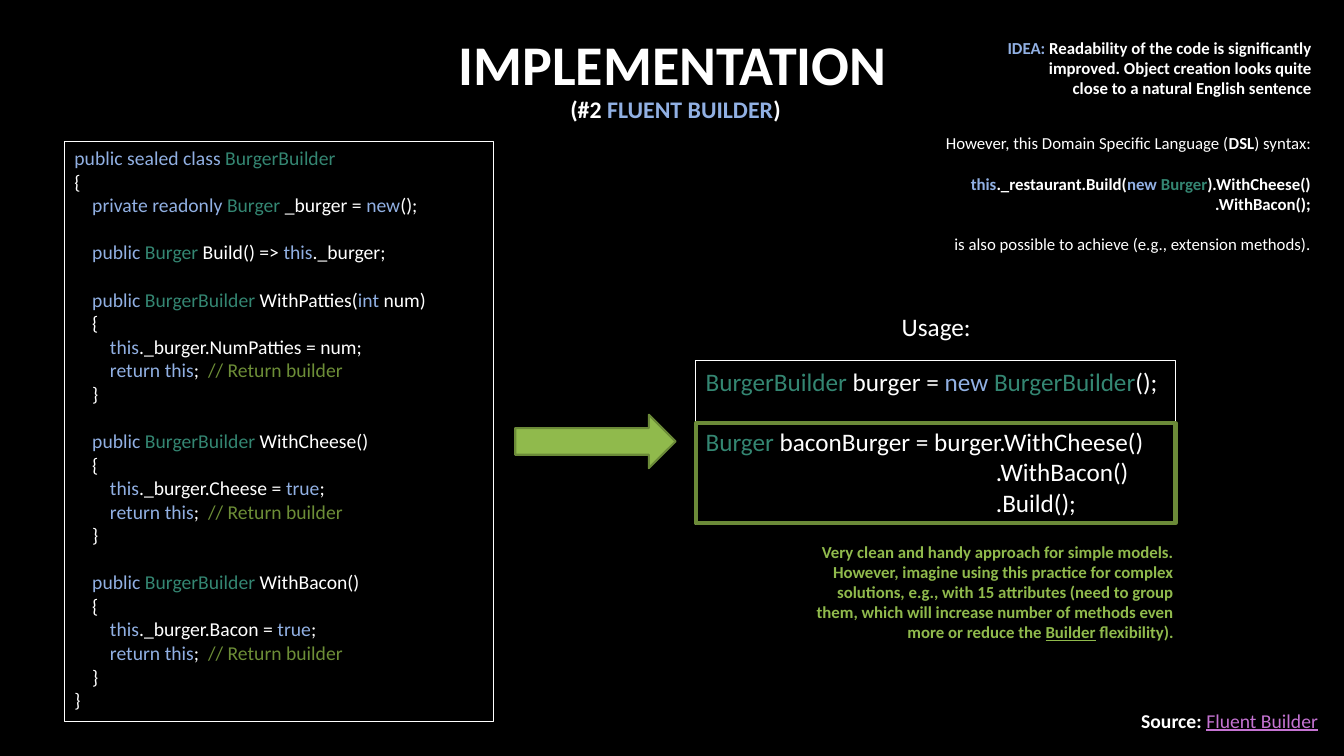
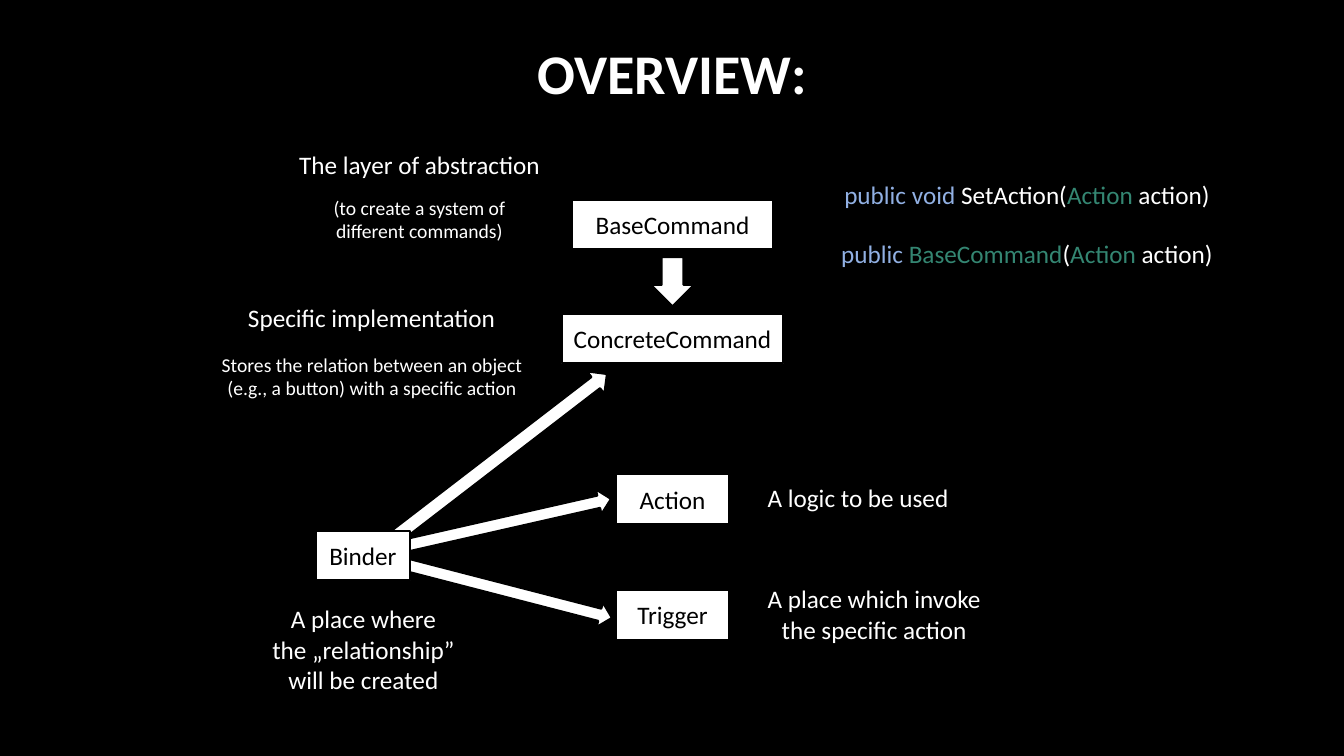
from itertools import groupby
from math import atan2, degrees, hypot

from pptx import Presentation
from pptx import util as u
from pptx.dml.color import RGBColor
from pptx.enum import shapes, text

WIDTH, HEIGHT = 13.33, 7.5
FONT = "Calibri"
WHITE, BLACK = "FFFFFF", "000000"
BLUE, TEAL, PURPLE = "91B0E3", "348672", "C573D2"
GREEN, DARK_GREEN, COMMENT = "90BA4C", "6B8A38", "6D8E37"
LEFT, CENTER, RIGHT = (text.PP_ALIGN.LEFT, text.PP_ALIGN.CENTER,
                       text.PP_ALIGN.RIGHT)
TOP, MIDDLE, BOTTOM = (text.MSO_ANCHOR.TOP, text.MSO_ANCHOR.MIDDLE,
                       text.MSO_ANCHOR.BOTTOM)
LINE_HEIGHT = 1.21  # share of the text size

KEYWORDS = {"public", "private", "sealed", "class", "readonly", "new", "this",
            "int", "return", "true", "void"}
TYPES = {"Burger", "BurgerBuilder", "Action", "BaseCommand"}

# Content: code (a blank line becomes space above the next line)
BUILDER_CODE = """\
public sealed class BurgerBuilder
{
    private readonly Burger _burger = new();

    public Burger Build() => this._burger;

    public BurgerBuilder WithPatties(int num)
    {
        this._burger.NumPatties = num;
        return this;  // Return builder
    }

    public BurgerBuilder WithCheese()
    {
        this._burger.Cheese = true;
        return this;  // Return builder
    }

    public BurgerBuilder WithBacon()
    {
        this._burger.Bacon = true;
        return this;  // Return builder
    }
}"""
USAGE_CODE = """\
BurgerBuilder burger = new BurgerBuilder();

Burger baconBurger = burger.WithCheese()
.WithBacon()
.Build();"""
DSL_CODE = ["this._restaurant.Build(new Burger).WithCheese()", ".WithBacon();"]
SIGNATURES = ["public void SetAction(Action action)",
              "public BaseCommand(Action action)"]

# Content: rich text as (text, changes to the font) pairs
SUBTITLE = [("(#2 ", {}), ("FLUENT BUILDER", {"color": BLUE}), (")", {})]
SOURCE = [("Source: ", {"bold": True}),
          ("Fluent Builder", {"color": PURPLE, "underline": True})]
IDEA = [("IDEA:", {"color": BLUE}),
        (" Readability of the code is significantly\n"
         "improved. Object creation looks quite\n"
         "close to a natural English sentence", {})]
VERDICT = [("Very clean and handy approach for simple models.\n"
            "However, imagine using this practice for complex\n"
            "solutions, e.g., with 15 attributes (need to group\n"
            "them, which will increase number of methods even\n"
            "more or reduce the ", {}),
           ("Builder", {"underline": True}), (" flexibility).", {})]
DSL_INTRO = [("However, this Domain Specific Language (", {}),
             ("DSL", {"bold": True}), (") syntax:", {})]
DSL_END = "is also possible to achieve (e.g., extension methods)."

# Content: overview diagram; boxes are (label, centre x, centre y, width)
BOX_HEIGHT = 0.49
BOXES = [("BaseCommand", 6.67, 2.23, 2.0), ("ConcreteCommand", 6.67, 3.36, 2.2),
         ("Action", 6.67, 4.95, 1.13), ("Trigger", 6.67, 6.1, 1.13),
         ("Binder", 3.6, 5.51, 0.94)]
# Arrows are (tail, head, thickness)
ARROWS = [((6.67, 2.55), (6.67, 3.04), 0.43), ((3.99, 5.42), (6.06, 4.95), 0.25),
          ((4.02, 5.6), (6.07, 6.13), 0.25), ((3.94, 5.31), (6.02, 3.71), 0.28)]
# Notes are (place, text, size)
NOTES = [((2.34, 2.95, 2.69, 0.4), "Specific implementation", 18),
         ((2.0, 3.45, 3.38, 0.57), "Stores the relation between an object\n"
                                   "(e.g., a button) with a specific action", 14),
         ((7.5, 4.74, 2.02, 0.4), "A logic to be used", 18),
         ((7.5, 5.74, 2.34, 0.71), "A place which invoke\nthe specific action", 18),
         ((2.59, 5.94, 2.03, 1.01),
          "A place where\nthe „relationship”\nwill be created", 18)]


# Text helpers
def rgb(color):
    return RGBColor.from_string(color)


def style(font, size, color=WHITE, bold=False, underline=False):
    font.name, font.size = FONT, u.Pt(size)
    font.bold, font.underline = bold, underline
    font.color.rgb = rgb(color)


def code_runs(line, bold=False):
    """Colour one line of code by keyword, type and comment."""
    code, slashes, comment = line.partition("//")
    runs = []
    for _, letters in groupby(code, lambda c: c.isalnum() or c == "_"):
        word = "".join(letters)
        color = BLUE if word in KEYWORDS else TEAL if word in TYPES else WHITE
        runs.append((word, {"color": color, "bold": bold}))
    if slashes:
        runs.append((slashes + comment, {"color": COMMENT, "bold": bold}))
    return runs


def fill_paragraph(paragraph, content, size, align=LEFT, **base):
    paragraph.alignment = align
    runs = [(content, {})] if isinstance(content, str) else content
    for words, changes in runs:
        for index, line in enumerate(words.split("\n")):
            if index:
                paragraph.add_line_break()
            run = paragraph.add_run()
            run.text = line
            style(run.font, size, **{**base, **changes})


def next_paragraph(frame, first):
    return frame.paragraphs[0] if first else frame.add_paragraph()


def fill_code(frame, code, size):
    frame.word_wrap = True
    gap, first = 0, True
    for line in code.split("\n"):
        if not line:
            gap = size * LINE_HEIGHT
            continue
        paragraph = next_paragraph(frame, first)
        fill_paragraph(paragraph, code_runs(line), size)
        if gap:
            paragraph.space_before = u.Pt(gap)
        gap, first = 0, False


# Shape helpers
def add_text(slide, place, contents, size, align=CENTER, anchor=TOP, gaps=(),
             **base):
    """Add a text box with one paragraph per item; gaps maps index to points."""
    frame = slide.shapes.add_textbox(*map(u.Inches, place)).text_frame
    frame.word_wrap, frame.vertical_anchor = False, anchor
    for index, content in enumerate(contents):
        paragraph = next_paragraph(frame, index == 0)
        fill_paragraph(paragraph, content, size, align, **base)
        if index in gaps:
            paragraph.space_before = u.Pt(gaps[index])


def add_shape(slide, kind, place, fill=None, line=WHITE, weight=0.75):
    shape = slide.shapes.add_shape(kind, *map(u.Inches, place))
    shape.shadow.inherit = False
    if fill:
        shape.fill.solid()
        shape.fill.fore_color.rgb = rgb(fill)
    else:
        shape.fill.background()
    shape.line.color.rgb = rgb(line)
    shape.line.width = u.Pt(weight)
    return shape


def add_frame(slide, place, **look):
    shape = add_shape(slide, shapes.MSO_SHAPE.RECTANGLE, place, **look)
    shape.text_frame.vertical_anchor = TOP
    return shape


def add_arrow(slide, tail, head, thickness, fill=WHITE, line=BLACK):
    dx, dy = head[0] - tail[0], head[1] - tail[1]
    length = hypot(dx, dy)
    place = ((tail[0] + head[0] - length) / 2,
             (tail[1] + head[1] - thickness) / 2, length, thickness)
    arrow = add_shape(slide, shapes.MSO_SHAPE.RIGHT_ARROW, place, fill, line, 1.5)
    arrow.rotation = degrees(atan2(dy, dx)) % 360


def add_slide(presentation, heading, bottom):
    slide = presentation.slides.add_slide(presentation.slide_layouts[5])
    title, height = slide.shapes.title, 0.84
    title.left, title.top, title.width, title.height = map(
        u.Inches, (1.13, bottom - height, 11.08, height))
    frame = title.text_frame
    frame.text = heading
    frame.vertical_anchor, frame.auto_size = BOTTOM, text.MSO_AUTO_SIZE.NONE
    paragraph = frame.paragraphs[0]
    paragraph.alignment, paragraph.line_spacing = CENTER, 0.9
    style(paragraph.runs[0].font, 40, bold=True)
    return slide


# Slides
def build_implementation(presentation):
    slide = add_slide(presentation, "IMPLEMENTATION", 1.02)
    add_text(slide, (5.35, 0.77, 2.7, 0.5), [SUBTITLE], 17, anchor=BOTTOM,
             bold=True)

    # Builder class and its usage
    builder = add_frame(slide, (0.64, 1.4, 4.26, 5.76))
    fill_code(builder.text_frame, BUILDER_CODE, 14)
    add_arrow(slide, (5.11, 4.38), (6.7, 4.38), 0.53, GREEN, DARK_GREEN)
    add_text(slide, (8.84, 3.04, 0.89, 0.4), ["Usage:"], 18)
    usage = add_frame(slide, (6.9, 3.58, 4.76, 1.62))
    fill_code(usage.text_frame, USAGE_CODE, 18)
    for paragraph in usage.text_frame.paragraphs[2:]:
        properties = paragraph._p.get_or_add_pPr()
        properties.set("marL", str(u.Inches(2.88)))
        properties.set("indent", "0")
    add_frame(slide, (6.9, 4.2, 4.76, 0.99), line=DARK_GREEN, weight=3)

    # Remarks
    add_text(slide, (7.95, 5.32, 3.79, 1.11), [VERDICT], 12, RIGHT, color=GREEN,
             bold=True)
    add_text(slide, (9.85, 0.32, 3.26, 0.71), [IDEA], 12, RIGHT, bold=True)
    syntax = [code_runs(line, bold=True) for line in DSL_CODE]
    add_text(slide, (9.25, 1.27, 3.85, 1.31), [DSL_INTRO, *syntax, DSL_END], 12,
             RIGHT, gaps={1: 14.5, 3: 14.5})
    add_text(slide, (11.22, 6.98, 1.97, 0.34), [SOURCE], 14, LEFT)


def build_overview(presentation):
    slide = add_slide(presentation, "OVERVIEW:", 1.11)

    # Diagram: arrows lie behind the boxes
    for tail, head, thickness in ARROWS:
        add_arrow(slide, tail, head, thickness)
    for label, x, y, width in BOXES:
        place = (x - width / 2, y - BOX_HEIGHT / 2, width, BOX_HEIGHT)
        box = add_frame(slide, place, fill=WHITE, line=BLACK, weight=1.5)
        frame = box.text_frame
        frame.vertical_anchor, frame.word_wrap = MIDDLE, False
        fill_paragraph(frame.paragraphs[0], label, 18, CENTER, color=BLACK)

    # Notes and signatures
    abstraction = [[("The layer of abstraction", {"size": 18})],
                   "(to create a system of\ndifferent commands)"]
    add_text(slide, (2.85, 1.43, 2.62, 0.4), [abstraction[0][0][0]], 18)
    add_text(slide, (2.85, 1.89, 2.62, 0.57), abstraction[1:], 14)
    for place, note, size in NOTES:
        add_text(slide, place, [note], size)
    for row, signature in enumerate(SIGNATURES):
        add_text(slide, (8.22, 1.73 + 0.59 * row, 3.93, 0.4),
                 [code_runs(signature)], 18)


def main():
    presentation = Presentation()
    presentation.slide_width = u.Inches(WIDTH)
    presentation.slide_height = u.Inches(HEIGHT)
    background = presentation.slide_master.background.fill
    background.solid()
    background.fore_color.rgb = rgb(BLACK)
    build_implementation(presentation)
    build_overview(presentation)
    presentation.save("out.pptx")


if __name__ == "__main__":
    main()
